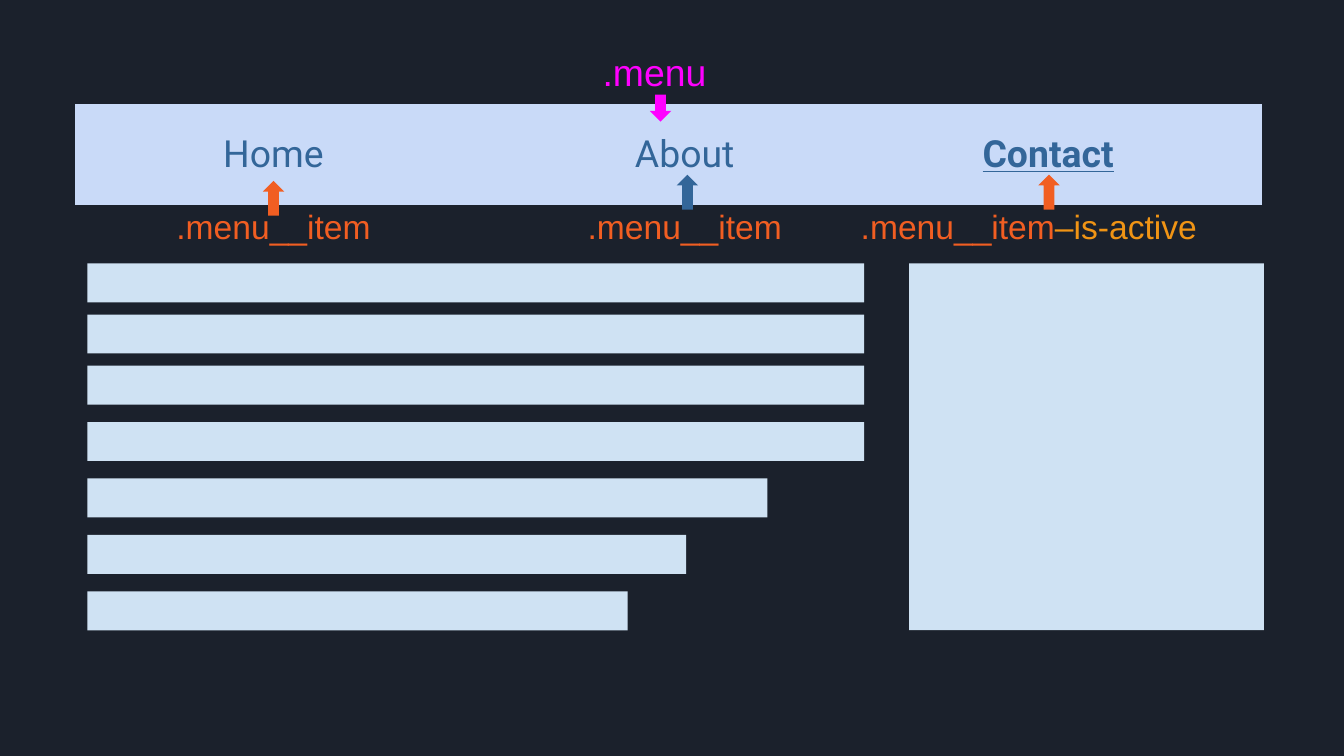
from typing import NamedTuple

from pptx import Presentation
from pptx.dml.color import RGBColor
from pptx.enum.shapes import MSO_SHAPE
from pptx.enum.text import MSO_AUTO_SIZE, PP_ALIGN
from pptx.util import Emu, Pt

EMU_PER_PX = 4572  # 200 px to the inch
RECTANGLE = MSO_SHAPE.RECTANGLE
DOWN_ARROW = MSO_SHAPE.DOWN_ARROW
CENTER = PP_ALIGN.CENTER
GROW = MSO_AUTO_SIZE.SHAPE_TO_FIT_TEXT

NIGHT = RGBColor(0x1B, 0x21, 0x2C)
MENU_BLUE = RGBColor(0xC9, 0xDA, 0xF8)
CONTENT_BLUE = RGBColor(0xCF, 0xE2, 0xF3)
LINK_BLUE = RGBColor(0x33, 0x66, 0x99)
ORANGE = RGBColor(0xF1, 0x5E, 0x22)
AMBER = RGBColor(0xF0, 0x94, 0x15)
MAGENTA = RGBColor(0xFF, 0x00, 0xFF)


class Box(NamedTuple):
    left: int
    top: int
    width: int
    height: int


class Words(NamedTuple):
    text: str
    color: RGBColor
    size: int = 18
    font: str = "Arial"
    active: bool = False


class MenuItem(NamedTuple):
    link: Words
    link_left: int
    label: list[Words]
    label_left: int
    label_width: int
    arrow_left: int
    arrow_top: int
    arrow_color: RGBColor


class Line(NamedTuple):
    top: int
    width: int


ITEM_LABEL = Words(".menu__item", ORANGE)
ACTIVE_LABEL = Words("–is-active", AMBER)
MENU_ITEMS = [
    MenuItem(Words("Home", LINK_BLUE, 20, "Roboto"), 253,
             [ITEM_LABEL], 208, 398, 391, 269, ORANGE),
    MenuItem(Words("About", LINK_BLUE, 20, "Roboto"), 865,
             [ITEM_LABEL], 820, 398, 1007, 260, LINK_BLUE),
    MenuItem(Words("Contact", LINK_BLUE, 20, "Roboto", active=True), 1406,
             [ITEM_LABEL, ACTIVE_LABEL], 1204, 654, 1545, 260, ORANGE),
]
CONTENT_LINES = [
    Line(392, 1156), Line(468, 1156), Line(544, 1156), Line(628, 1156),
    Line(712, 1012), Line(796, 891), Line(880, 804),
]


def px(length: int) -> Emu:
    return Emu(length * EMU_PER_PX)


def add_filled(slide, kind: MSO_SHAPE, box: Box, color: RGBColor, rotation: int = 0) -> None:
    shape = slide.shapes.add_shape(kind, *map(px, box))
    shape.shadow.inherit = False
    shape.fill.solid()
    shape.fill.fore_color.rgb = color
    shape.line.fill.background()
    shape.rotation = rotation


def add_text(slide, box: Box, words: list[Words]) -> None:
    """Add one centred line, with a run for each entry of words."""
    frame = slide.shapes.add_textbox(*map(px, box)).text_frame
    frame.word_wrap = True
    frame.auto_size = GROW
    frame.margin_left = frame.margin_right = px(20)
    frame.margin_top = frame.margin_bottom = px(20)
    para = frame.paragraphs[0]
    para.alignment = CENTER
    for part in words:
        span = para.add_run()
        span.text = part.text
        span.font.name = part.font
        span.font.size = Pt(part.size)
        span.font.color.rgb = part.color
        if part.active:
            span.font.bold = span.font.underline = True


def add_menu_item(slide, item: MenuItem) -> None:
    add_text(slide, Box(item.link_left, 174, 308, 108), [item.link])
    add_text(slide, Box(item.label_left, 286, item.label_width, 100), item.label)
    arrow = Box(item.arrow_left, item.arrow_top, 32, 52)
    add_filled(slide, DOWN_ARROW, arrow, item.arrow_color, rotation=180)


def main() -> None:
    deck = Presentation()
    deck.slide_width, deck.slide_height = px(2000), px(1125)
    slide = deck.slides.add_slide(deck.slide_layouts[6])
    slide.background.fill.solid()
    slide.background.fill.fore_color.rgb = NIGHT

    add_filled(slide, RECTANGLE, Box(112, 155, 1766, 150), MENU_BLUE)
    for item in MENU_ITEMS:
        add_menu_item(slide, item)
    add_text(slide, Box(867, 53, 214, 108), [Words(".menu", MAGENTA, 20)])
    add_filled(slide, DOWN_ARROW, Box(967, 141, 32, 40), MAGENTA)

    for line in CONTENT_LINES:
        add_filled(slide, RECTANGLE, Box(130, line.top, line.width, 58), CONTENT_BLUE)
    add_filled(slide, RECTANGLE, Box(1353, 392, 528, 546), CONTENT_BLUE)

    deck.save("out.pptx")


if __name__ == "__main__":
    main()
